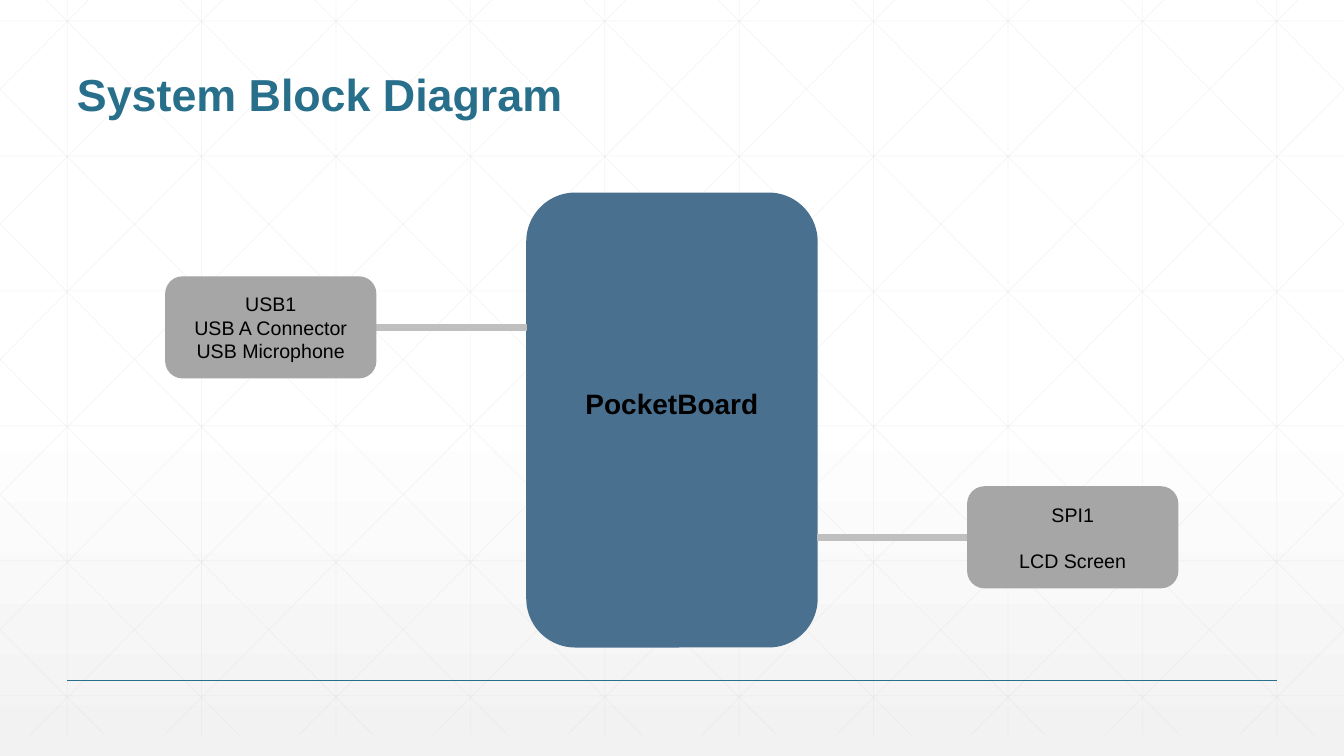
from lxml import etree
from pptx import Presentation
from pptx import util as u
from pptx.dml.color import RGBColor
from pptx.enum import shapes, text
from pptx.oxml.ns import qn

WIDTH, HEIGHT = 33.87, 19.05
TEAL, STEEL, GREY = "276F8B", "4A7090", "A6A6A6"
SILVER, MESH, BLACK = "BFBFBF", "D9D9D9", "000000"


def color(value):
    return RGBColor.from_string(value)


class Slide:
    font = "Arial"

    def __init__(self, deck):
        self.page = deck.slides.add_slide(deck.slide_layouts[6])

    def background(self, start, end, hold):
        fill = self.page.background.fill
        fill.gradient()
        fill.gradient_angle = 270
        for stop, value, position in zip(fill.gradient_stops, (start, end), (hold, 1)):
            stop.color.rgb = color(value)
            stop.position = position

    def line(self, x1, y1, x2, y2, value, width, opacity=None):
        line = self.page.shapes.add_connector(
            shapes.MSO_CONNECTOR.STRAIGHT, u.Cm(x1), u.Cm(y1), u.Cm(x2), u.Cm(y2))
        line.line.color.rgb = color(value)
        line.line.width = u.Pt(width)
        properties = line._element.spPr
        if opacity is not None:
            fill = properties.find(".//" + qn("a:srgbClr"))
            etree.SubElement(fill, qn("a:alpha"), val=str(opacity * 1000))
        etree.SubElement(properties, qn("a:effectLst"))

    def add_lines(self, box, lines, size, value, bold=False, align=text.PP_ALIGN.CENTER,
                  anchor=text.MSO_ANCHOR.MIDDLE, gap=0, spacing=None):
        frame = box.text_frame
        frame.word_wrap = True
        frame.vertical_anchor = anchor
        for index, words in enumerate(lines):
            para = frame.add_paragraph() if index else frame.paragraphs[0]
            para.alignment = align
            para.line_spacing = spacing
            if index:
                para.space_before = u.Pt(gap)
            span = para.add_run()
            span.text = words
            span.font.name = self.font
            span.font.size = u.Pt(size)
            span.font.bold = bold
            span.font.color.rgb = color(value)

    def title(self, words, x, y, width, height):
        box = self.page.shapes.add_textbox(u.Cm(x), u.Cm(y), u.Cm(width), u.Cm(height))
        self.add_lines(box, [words], 32, TEAL, True, text.PP_ALIGN.LEFT,
                       text.MSO_ANCHOR.BOTTOM, spacing=0.9)

    def block(self, lines, x, y, width, height, fill, size=14, bold=False, gap=0):
        box = self.page.shapes.add_shape(
            shapes.MSO_SHAPE.ROUNDED_RECTANGLE, u.Cm(x), u.Cm(y), u.Cm(width), u.Cm(height))
        box.shadow.inherit = False
        box.fill.solid()
        box.fill.fore_color.rgb = color(fill)
        box.line.color.rgb = color(fill)
        box.line.width = u.Pt(1)
        self.add_lines(box, lines, size, BLACK, bold, gap=gap)
        return box

    def mesh(self):
        step, top, bottom = WIDTH / 10, -0.53, 18.52
        run = 18.94
        slope = (bottom - top) / run
        for column in range(10):
            x = step * (column + 0.5)
            self.line(x, top, x, bottom, MESH, 0.5, 25)
        for row in range(6):
            y = 0.53 + 3.4 * row
            self.line(0, y, WIDTH, y, MESH, 0.5, 25)
        for column in range(-5, 10):
            start = 0.63 + step * column
            left, right = max(start, 0), min(start + run, WIDTH)
            y1, y2 = (top + slope * (x - start) for x in (left, right))
            self.line(left, y1, right, y2, MESH, 0.5, 25)
            self.line(WIDTH - left, y1, WIDTH - right, y2, MESH, 0.5, 25)


deck = Presentation()
deck.slide_width, deck.slide_height = u.Cm(WIDTH), u.Cm(HEIGHT)
slide = Slide(deck)
slide.background("FFFFFF", "F2F2F2", 0.53)
slide.mesh()
slide.line(1.69, 17.14, 32.18, 17.14, TEAL, 1)
slide.title("System Block Diagram", 1.69, 0.64, 30.48, 2.54)

board = slide.block(["PocketBoard"], 13.28, 4.87, 7.31, 11.43, STEEL, 20, True)
board.text_frame.margin_bottom = u.Cm(0.95)

peripherals = [
    (["USB1", "USB A Connector", "USB Microphone"], 4.18, 6.98, 9.47, 13.28, 0),
    (["SPI1", "LCD Screen"], 24.39, 12.27, 20.58, 24.39, 16),
]
for lines, x, y, link_start, link_end, gap in peripherals:
    middle = y + 2.54 / 2
    slide.line(link_start, middle, link_end, middle, SILVER, 5)
    slide.block(lines, x, y, 5.29, 2.54, GREY, gap=gap)

deck.save("out.pptx")
